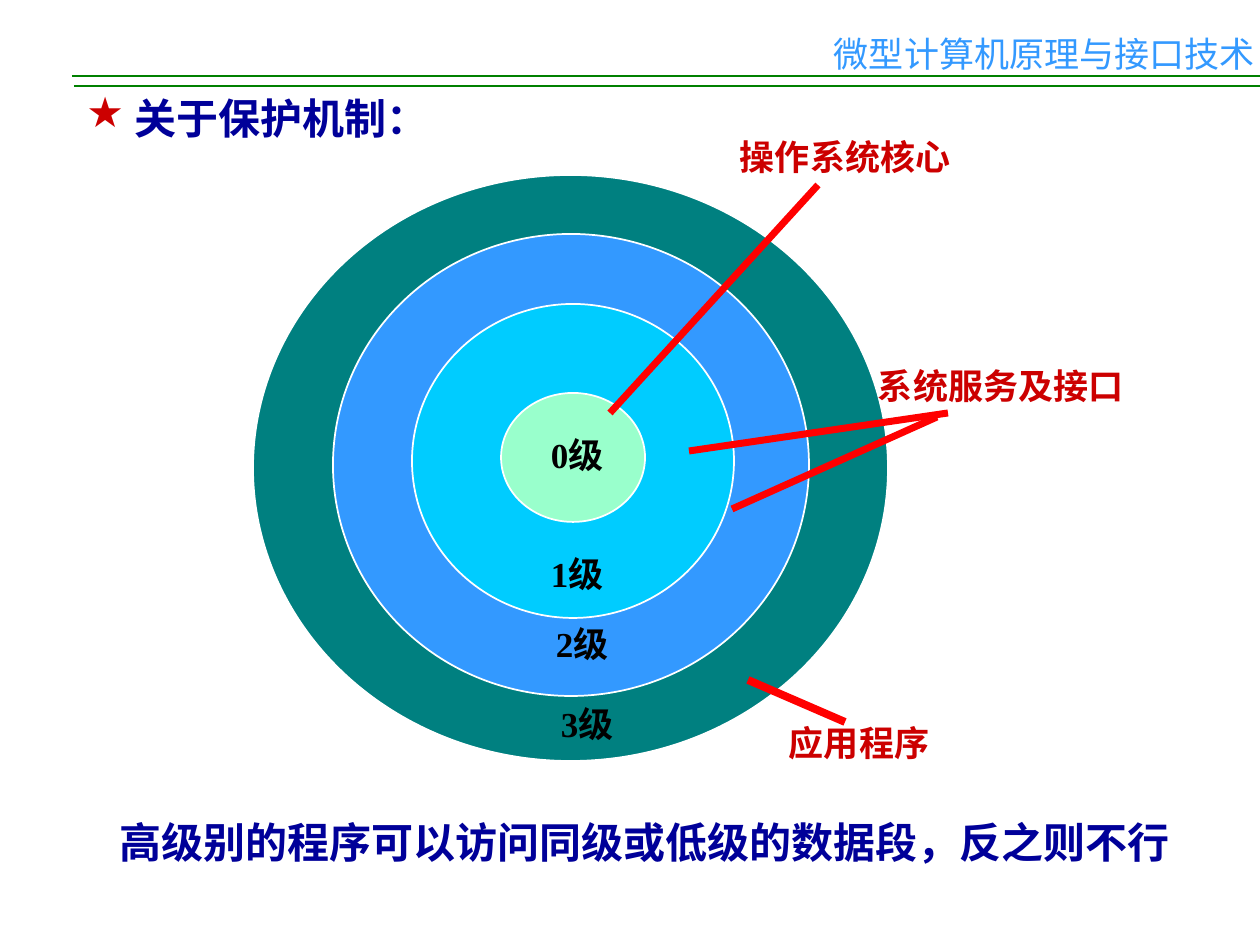
from dataclasses import dataclass

import lxml.etree
import pptx
import pptx.dml.color
import pptx.enum.shapes
import pptx.enum.text
import pptx.oxml.ns
import pptx.util

PX = 914400 / 126
qn = pptx.oxml.ns.qn
ALIGN = pptx.enum.text.PP_ALIGN


@dataclass(frozen=True)
class Theme:
    sans: str = "Noto Sans CJK SC"
    serif: str = "Times New Roman"
    small: int = 20
    large: int = 24
    header: str = "3399FF"
    rule: str = "008000"
    heading: str = "000099"
    accent: str = "CC0000"
    level: str = "000000"
    pointer: str = "FF0000"
    outline: str = "FFFFFF"
    rings: tuple = ("008080", "3399FF", "00CCFF", "99FFCC")


THEME = Theme()


def px(n):
    return pptx.util.Emu(round(n * PX))


def rgb(value):
    return pptx.dml.color.RGBColor.from_string(value)


def add_line(s, start, end, color, width):
    c = s.shapes.add_connector(
        pptx.enum.shapes.MSO_CONNECTOR.STRAIGHT, *map(px, start + end))
    c.line.color.rgb = rgb(color)
    c.line.width = pptx.util.Pt(width)
    lxml.etree.SubElement(c._element.spPr, qn("a:effectLst"))


def add_ring(s, box, fill):
    sp = s.shapes.add_shape(pptx.enum.shapes.MSO_SHAPE.OVAL, *map(px, box))
    sp.shadow.inherit = False
    sp.fill.solid()
    sp.fill.fore_color.rgb = rgb(fill)
    sp.line.color.rgb = rgb(THEME.outline)
    sp.line.width = pptx.util.Pt(1)


def add_text(s, box, text, size, color, font=THEME.serif, bold=True,
             inset=(0, 0), wrap=True, align=ALIGN.JUSTIFY, spacing=None):
    """Add a one-paragraph text box and return its paragraph."""
    tf = s.shapes.add_textbox(*map(px, box)).text_frame
    tf.word_wrap = wrap
    tf.margin_left = tf.margin_right = pptx.util.Inches(inset[0])
    tf.margin_top = tf.margin_bottom = pptx.util.Inches(inset[1])
    p = tf.paragraphs[0]
    p.alignment = align
    if spacing:
        p.line_spacing = spacing
    r = p.add_run()
    r.text = text
    r.font.name = font
    r.font.size = pptx.util.Pt(size)
    r.font.bold = bold
    r.font.color.rgb = rgb(color)
    ea = lxml.etree.SubElement(r._r.get_or_add_rPr(), qn("a:ea"))
    ea.set("typeface", THEME.sans)
    return p


def add_bullet(p, char, color, indent):
    pPr = p._p.get_or_add_pPr()
    pPr.set("marL", str(px(indent)))
    pPr.set("indent", str(-px(indent)))
    bu_color = lxml.etree.SubElement(pPr, qn("a:buClr"))
    lxml.etree.SubElement(bu_color, qn("a:srgbClr")).set("val", color)
    lxml.etree.SubElement(pPr, qn("a:buChar")).set("char", char)


def add_header(s):
    for x, y in ((74, 86), (72, 76)):
        add_line(s, (x, y), (1260, y), THEME.rule, 0.75)
    add_text(s, (834, 26, 426, 54), "微型计算机原理与接口技术", THEME.small,
             THEME.header, THEME.sans, bold=False, inset=(0, 0.05),
             wrap=False, align=ALIGN.LEFT)


def add_rings(s):
    boxes = ((253, 175, 635, 586), (333, 234, 476, 462),
             (412, 304, 322, 314), (501, 393, 144, 129))
    for box, fill in zip(boxes, THEME.rings):
        add_ring(s, box, fill)
    levels = ((551, 433, None), (551, 552, None),
              (556, 631, 0.8), (561, 711, 0.8))
    for level, (x, y, spacing) in enumerate(levels):
        add_text(s, (x, y, 62, 58), f"{level}级", THEME.small, THEME.level,
                 spacing=spacing)


def add_callouts(s):
    labels = (("操作系统核心", 740, 135, 223),
              ("系统服务及接口", 878, 364, 273),
              ("应用程序", 789, 721, 176))
    for text, x, y, width in labels:
        add_text(s, (x, y, width, 58), text, THEME.small, THEME.accent)
    pointers = (((610, 413), (818, 185), 4), ((689, 451), (948, 413), 4),
                ((732, 509), (937, 417), 4), ((748, 680), (845, 722), 4.5))
    for start, end, width in pointers:
        add_line(s, start, end, THEME.pointer, width)


def main():
    prs = pptx.Presentation()
    prs.slide_width, prs.slide_height = px(1260), px(945)
    s = prs.slides.add_slide(prs.slide_layouts[6])
    add_header(s)
    add_rings(s)
    add_callouts(s)
    heading = add_text(s, (74, 76, 437, 89), "关于保护机制：", THEME.large,
                       THEME.heading, THEME.sans, inset=(0.1, 0.05),
                       spacing=1.2)
    add_bullet(heading, "★", THEME.accent, 48)
    add_text(s, (107, 810, 1075, 63),
             "高级别的程序可以访问同级或低级的数据段，反之则不行",
             THEME.large, THEME.heading, inset=(0.1, 0.05), wrap=False,
             align=ALIGN.LEFT)
    prs.save("out.pptx")


if __name__ == "__main__":
    main()
